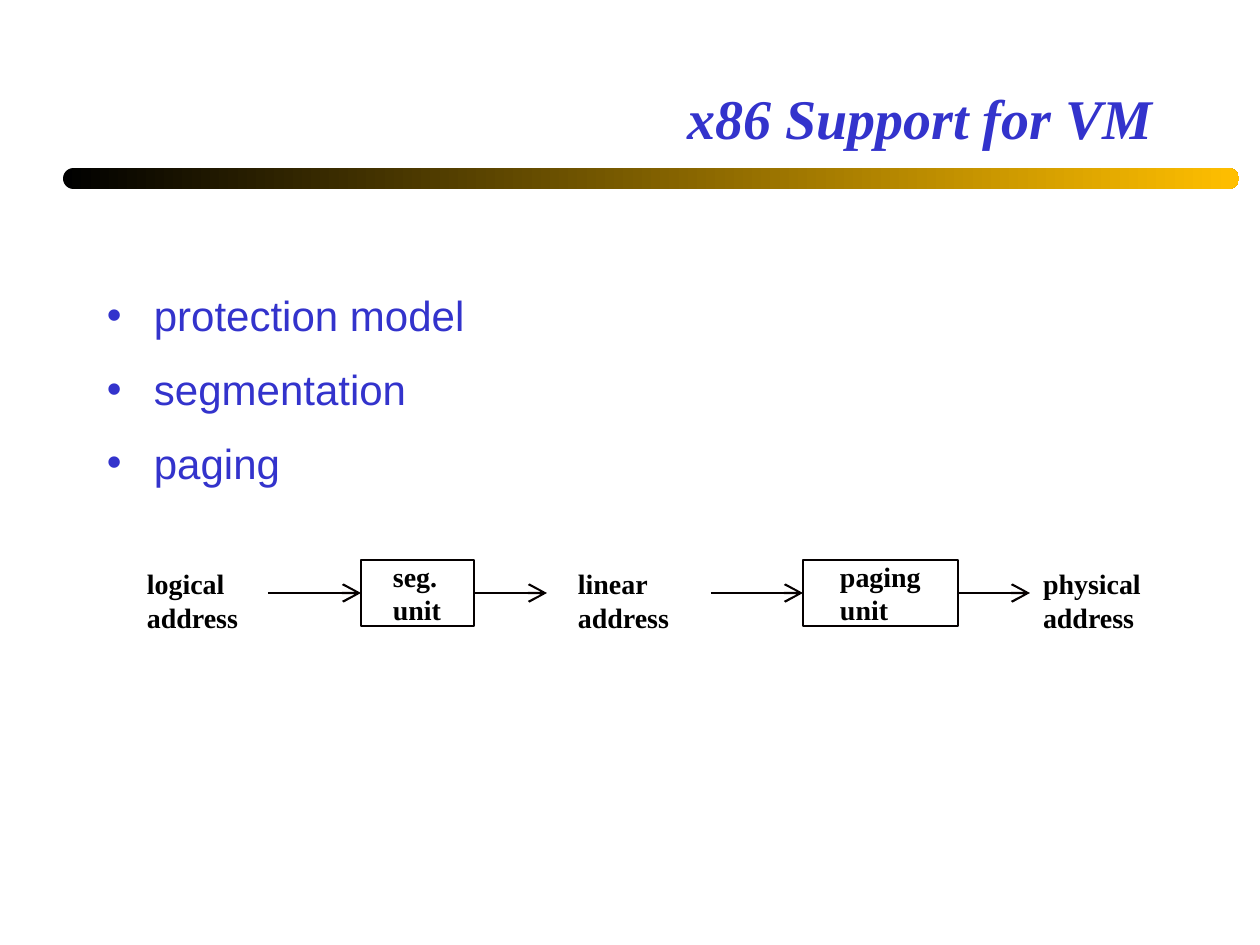
from dataclasses import dataclass

from lxml import etree
from pptx import Presentation
from pptx.dml.color import RGBColor
from pptx.enum.shapes import MSO_CONNECTOR, MSO_SHAPE
from pptx.enum.text import MSO_ANCHOR, MSO_AUTO_SIZE, PP_ALIGN
from pptx.oxml.ns import qn
from pptx.util import Emu, Pt

STRAIGHT = MSO_CONNECTOR.STRAIGHT
RECTANGLE, ROUNDED = MSO_SHAPE.RECTANGLE, MSO_SHAPE.ROUNDED_RECTANGLE
TOP, MIDDLE, BOTTOM = MSO_ANCHOR.TOP, MSO_ANCHOR.MIDDLE, MSO_ANCHOR.BOTTOM
NO_FIT = MSO_AUTO_SIZE.NONE
LEFT, RIGHT = PP_ALIGN.LEFT, PP_ALIGN.RIGHT
LEFT_SIDE, RIGHT_SIDE = 1, 3


@dataclass(frozen=True)
class Theme:
    blue: str = "3333CC"
    black: str = "000000"
    outline: str = "050000"
    gold: str = "FFBF00"
    serif: str = "Times New Roman"
    sans: str = "Arial"
    title_size: int = 32
    body_size: int = 24
    label_size: int = 16
    box_line: float = 0.75
    arrow_line: float = 1.25


THEME = Theme()
PX = 914400 / 126

TITLE = "x86 Support for VM"
TOPICS = ["protection model", "segmentation", "paging"]

FLOW_TOP, LABEL_HEIGHT, BOX_HEIGHT = 560, 81, 66
# text lines, left, width
ADDRESSES = [
    (["logical", "address"], 135, 116),
    (["linear", "address"], 566, 116),
    (["physical", "address"], 1031, 122),
]
# text lines, left, width, text indent, start of incoming arrow, end of outgoing arrow
UNITS = [
    (["seg.", "unit"], 361, 113, 32, 268, 547),
    (["paging", "unit"], 803, 155, 37, 711, 1030),
]


def px(*lengths):
    return [Emu(round(length * PX)) for length in lengths]


def color(value):
    return RGBColor.from_string(value)


def write(frame, lines, *, font=THEME.serif, size=THEME.label_size, ink=THEME.black,
          bold=True, italic=False, align=LEFT, anchor=TOP, margins=(13, 6, 13, 6),
          space_after=0, bullet_indent=0):
    frame.word_wrap, frame.auto_size, frame.vertical_anchor = True, NO_FIT, anchor
    (frame.margin_left, frame.margin_top,
     frame.margin_right, frame.margin_bottom) = px(*margins)
    for index, line in enumerate(lines):
        paragraph = frame.paragraphs[0] if index == 0 else frame.add_paragraph()
        paragraph.alignment = align
        paragraph.space_before, paragraph.space_after = Pt(0), Pt(space_after)
        run = paragraph.add_run()
        run.text = line
        run.font.name, run.font.size = font, Pt(size)
        run.font.bold, run.font.italic = bold, italic
        run.font.color.rgb = color(ink)
        if bullet_indent:
            add_bullet(paragraph, bullet_indent, ink, font)


def add_bullet(paragraph, indent, ink, font):
    properties = paragraph._p.get_or_add_pPr()
    (length,) = px(indent)
    properties.set("marL", str(length))
    properties.set("indent", str(-length))
    bullet_color = etree.SubElement(properties, qn("a:buClr"))
    etree.SubElement(bullet_color, qn("a:srgbClr"), val=ink)
    etree.SubElement(properties, qn("a:buFont"), typeface=font)
    etree.SubElement(properties, qn("a:buChar"), char="•")


def add_arrow(slide, start, end, y):
    arrow = slide.shapes.add_connector(STRAIGHT, *px(start, y, end, y))
    arrow.line.color.rgb = color(THEME.outline)
    arrow.line.width = Pt(THEME.arrow_line)
    etree.SubElement(arrow.line._get_or_add_ln(), qn("a:tailEnd"),
                     type="arrow", w="lg", len="lg")
    etree.SubElement(arrow._element.spPr, qn("a:effectLst"))
    return arrow


def add_header(slide):
    bar = slide.shapes.add_shape(ROUNDED, *px(63, 168, 1176, 21))
    bar.shadow.inherit = False
    bar.adjustments[0] = 0.5
    bar.line.fill.background()
    bar.fill.gradient()
    bar.fill.gradient_angle = 0
    for stop, ink in zip(bar.fill.gradient_stops, (THEME.black, THEME.gold)):
        stop.color.rgb = color(ink)

    title = slide.shapes.title
    title.left, title.top, title.width, title.height = px(95, 31, 1071, 126)
    write(title.text_frame, [TITLE], size=THEME.title_size, ink=THEME.blue,
          italic=True, align=RIGHT, anchor=BOTTOM)


def add_topics(slide):
    body = slide.shapes.add_textbox(*px(94, 210, 1071, 630))
    write(body.text_frame, TOPICS, font=THEME.sans, size=THEME.body_size,
          ink=THEME.blue, bold=False, margins=(13, 80, 13, 6),
          space_after=13.3, bullet_indent=47)


def add_translation_flow(slide):
    for lines, left, width in ADDRESSES:
        label = slide.shapes.add_textbox(*px(left, FLOW_TOP, width, LABEL_HEIGHT))
        write(label.text_frame, lines, margins=(12, 7, 0, 6))

    arrow_y = FLOW_TOP + BOX_HEIGHT / 2
    for lines, left, width, indent, arrow_start, arrow_end in UNITS:
        unit = slide.shapes.add_shape(RECTANGLE, *px(left, FLOW_TOP, width, BOX_HEIGHT))
        unit.shadow.inherit = False
        unit.fill.background()
        unit.line.color.rgb = color(THEME.outline)
        unit.line.width = Pt(THEME.box_line)
        write(unit.text_frame, lines, anchor=MIDDLE, margins=(indent, 0, 0, 0))
        add_arrow(slide, arrow_start, left, arrow_y).end_connect(unit, LEFT_SIDE)
        add_arrow(slide, left + width, arrow_end, arrow_y).begin_connect(unit, RIGHT_SIDE)


def main():
    presentation = Presentation()
    presentation.slide_width, presentation.slide_height = px(1260, 945)
    slide = presentation.slides.add_slide(presentation.slide_layouts[5])
    add_header(slide)
    add_topics(slide)
    add_translation_flow(slide)
    presentation.save("out.pptx")


if __name__ == "__main__":
    main()
